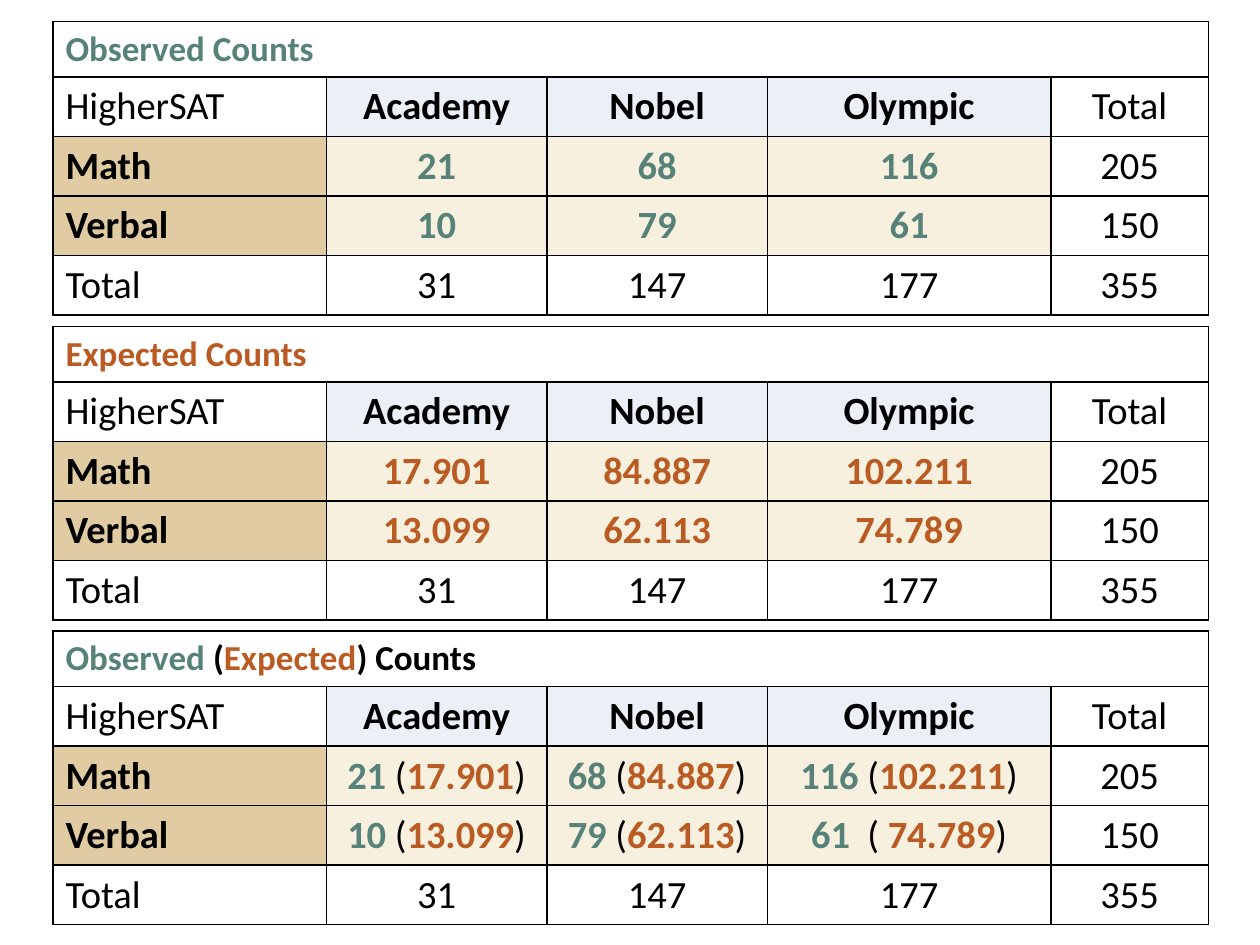
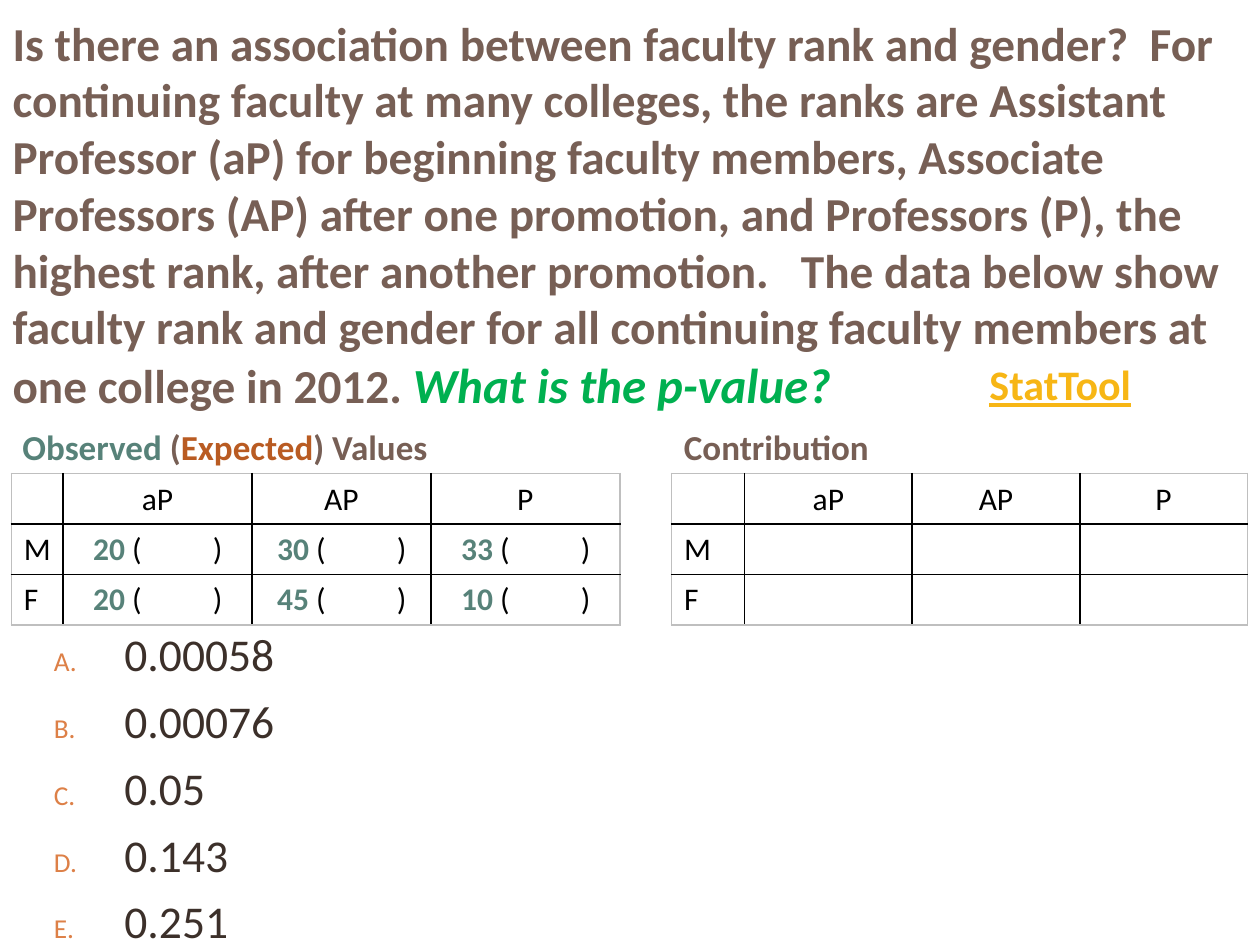
from dataclasses import dataclass

from lxml import etree
from pptx import Presentation
from pptx.dml.color import RGBColor
from pptx.enum.text import MSO_ANCHOR, MSO_AUTO_SIZE, PP_ALIGN
from pptx.oxml.ns import qn
from pptx.util import Inches, Pt


@dataclass(frozen=True)
class Theme:
    font: str = "Calibri"
    black: str = "000000"
    white: str = "FFFFFF"
    observed: str = "578279"
    expected: str = "B95B22"
    heading: str = "775F55"
    question: str = "00B050"
    body: str = "3C302A"
    bullet: str = "DD8047"
    link: str = "F7B615"
    column_fill: str = "EAF0F6"
    row_fill: str = "E0CBA3"
    count_fill: str = "F7F0DE"
    outer_line: str = "BFBFBF"
    title_size: int = 27
    question_size: int = 28
    answer_size: int = 26
    link_size: int = 24
    count_size: int = 22
    caption_size: int = 20
    rank_size: int = 18


THEME = Theme()


@dataclass
class Run:
    text: str
    color: str = THEME.black
    bold: bool = False
    italic: bool = False
    underline: bool = False
    size: int = 0


@dataclass
class Cell:
    runs: list
    fill: str = ""
    align: PP_ALIGN = PP_ALIGN.CENTER
    size: int = 0
    tab: float = 0


class Deck:
    def __init__(self, theme):
        self.theme = theme
        self.prs = Presentation()
        self.prs.slide_width, self.prs.slide_height = Inches(10), Inches(7.5)
        self.slide = None

    def add_slide(self, layout):
        self.slide = self.prs.slides.add_slide(self.prs.slide_layouts.get_by_name(layout))

    def add_runs(self, p, runs, size, align=PP_ALIGN.LEFT):
        p.alignment = align
        for run in runs:
            r = p.add_run()
            r.text = run.text
            font = r.font
            font.name, font.size = self.theme.font, Pt(run.size or size)
            font.bold, font.italic, font.underline = run.bold, run.italic, run.underline
            font.color.rgb = RGBColor.from_string(run.color)

    def title(self, box, runs):
        sp = self.slide.shapes.title
        sp.left, sp.top, sp.width, sp.height = map(Inches, box)
        tf = sp.text_frame
        tf.auto_size, tf.vertical_anchor = MSO_AUTO_SIZE.NONE, MSO_ANCHOR.MIDDLE
        self.add_runs(tf.paragraphs[0], runs, self.theme.title_size)

    def text_box(self, box):
        tf = self.slide.shapes.add_textbox(*map(Inches, box)).text_frame
        tf.word_wrap = True
        return tf

    def label(self, box, runs, size, align=PP_ALIGN.LEFT):
        self.add_runs(self.text_box(box).paragraphs[0], runs, size, align)

    def lettered_list(self, box, items):
        tf = self.text_box(box)
        for i, item in enumerate(items):
            p = tf.paragraphs[0] if i == 0 else tf.add_paragraph()
            if i:
                p.space_before = Pt(7)
            pPr = p._p.get_or_add_pPr()
            pPr.set("marL", str(Inches(0.56)))
            pPr.set("indent", str(-Inches(0.56)))
            color = etree.SubElement(pPr, qn("a:buClr"))
            etree.SubElement(color, qn("a:srgbClr"), val=self.theme.bullet)
            etree.SubElement(pPr, qn("a:buSzPct"), val="60000")
            etree.SubElement(pPr, qn("a:buFont"), typeface=self.theme.font)
            etree.SubElement(pPr, qn("a:buAutoNum"), type="alphaUcPeriod")
            self.add_runs(p, [Run(item, self.theme.body)], self.theme.answer_size)

    def border(self, cell, side, color):
        line = etree.SubElement(cell._tc.get_or_add_tcPr(), qn(f"a:ln{side}"), w=str(Pt(1)))
        fill = etree.SubElement(line, qn("a:solidFill"))
        etree.SubElement(fill, qn("a:srgbClr"), val=color)

    def table(self, left, top, widths, heights, rows, size, outer, merge_first=False):
        """Draw rows of Cell objects; the outer frame has its own line colour."""
        table = self.slide.shapes.add_table(
            len(heights), len(widths), Inches(left), Inches(top),
            Inches(sum(widths)), Inches(sum(heights))).table
        table.first_row = table.horz_banding = False
        for column, width in zip(table.columns, widths):
            column.width = Inches(width)
        for row, height in zip(table.rows, heights):
            row.height = Inches(height)
        last_row, last_col = len(heights) - 1, len(widths) - 1
        for i in range(last_row + 1):
            for j in range(last_col + 1):
                cell = table.cell(i, j)
                edges = {"L": j == 0, "R": j == last_col, "T": i == 0, "B": i == last_row}
                for side, is_outer in edges.items():
                    self.border(cell, side, outer if is_outer else self.theme.black)
                cell.fill.background()
        if merge_first:
            table.cell(0, 0).merge(table.cell(0, last_col))
        for i, row in enumerate(rows):
            for j, content in enumerate(row):
                self.fill_cell(table.cell(i, j), content, size, widths[j])

    def fill_cell(self, cell, content, size, width):
        if content.fill:
            cell.fill.solid()
            cell.fill.fore_color.rgb = RGBColor.from_string(content.fill)
        p = cell.text_frame.paragraphs[0]
        if content.tab:
            cell.margin_left = Inches((width - content.tab - 0.07) / 2)
            tabs = etree.SubElement(p._p.get_or_add_pPr(), qn("a:tabLst"))
            etree.SubElement(tabs, qn("a:tab"), pos=str(Inches(content.tab)), algn="l")
        self.add_runs(p, content.runs, content.size or size, content.align)


AWARDS = ["Academy", "Nobel", "Olympic"]
OBSERVED = {"Math": [21, 68, 116], "Verbal": [10, 79, 61]}
AWARD_TOTALS = [sum(counts) for counts in zip(*OBSERVED.values())]
GRAND_TOTAL = sum(AWARD_TOTALS)

RANKS = ["aP", "AP", "P"]
FACULTY = {"M": [20, 30, 33], "F": [20, 45, 10]}


def observed_run(value):
    return Run(str(value), THEME.observed, bold=True)


def expected_run(value):
    return Run(f"{value:.3f}", THEME.expected, bold=True)


def observed_only(observed, expected):
    return [observed_run(observed)]


def expected_only(observed, expected):
    return [expected_run(expected)]


def observed_and_expected(observed, expected):
    gap = "  ( " if observed == 61 else " ("
    return [observed_run(observed), Run(gap), expected_run(expected), Run(")")]


def caption(tail, color):
    return [Run("Observed ", THEME.observed, True), Run("(", color, True),
            Run("Expected", THEME.expected, True), Run(f") {tail}", color, True)]


def award_rows(heading, count_runs):
    """Rows of one award table; count_runs turns a count pair into runs."""
    def plain(value, align=PP_ALIGN.CENTER):
        return Cell([Run(str(value))], THEME.white, align)

    rows = [
        [Cell(heading, THEME.white, PP_ALIGN.LEFT, THEME.caption_size)],
        [plain("HigherSAT", PP_ALIGN.LEFT),
         *(Cell([Run(award, bold=True)], THEME.column_fill) for award in AWARDS),
         plain("Total")],
    ]
    for name, counts in OBSERVED.items():
        row_total = sum(counts)
        rows.append([
            Cell([Run(name, bold=True)], THEME.row_fill, PP_ALIGN.LEFT),
            *(Cell(count_runs(n, row_total * total / GRAND_TOTAL), THEME.count_fill)
              for n, total in zip(counts, AWARD_TOTALS)),
            plain(row_total)])
    rows.append([plain("Total", PP_ALIGN.LEFT), *map(plain, AWARD_TOTALS + [GRAND_TOTAL])])
    return rows


def rank_rows(with_counts):
    def blank_expected(n):
        return Cell([observed_run(n), Run(" (\t)")], align=PP_ALIGN.LEFT, tab=0.95)

    rows = [[Cell([]), *(Cell([Run(rank)]) for rank in RANKS)]]
    for gender, counts in FACULTY.items():
        cells = [blank_expected(n) for n in counts] if with_counts else []
        rows.append([Cell([Run(gender)], align=PP_ALIGN.LEFT), *cells])
    return rows


def award_slide(deck):
    deck.add_slide("Blank")
    tables = [
        ([Run("Observed Counts", THEME.observed, True)], observed_only),
        ([Run("Expected Counts", THEME.expected, True)], expected_only),
        (caption("Counts", THEME.black), observed_and_expected),
    ]
    for i, (heading, count_runs) in enumerate(tables):
        deck.table(0.42, 0.17 + i * 2.42, [2.17, 1.75, 1.75, 2.25, 1.25],
                   [0.44] + [0.47] * 4, award_rows(heading, count_runs),
                   THEME.count_size, THEME.black, merge_first=True)


def faculty_slide(deck):
    deck.add_slide("Title Only")
    deck.title((0, 0, 10, 3.39), [
        Run("Is there an association between faculty rank and gender?  For continuing "
            "faculty at many colleges, the ranks are Assistant Professor (aP) for beginning "
            "faculty members, Associate Professors (AP) after one promotion, and Professors "
            "(P), the highest rank, after another promotion.   The data below show faculty "
            "rank and gender for all continuing faculty members at one college in 2012. ",
            THEME.heading, bold=True),
        Run("What is the p-value?", THEME.question, bold=True, italic=True,
            size=THEME.question_size)])
    deck.lettered_list((0.33, 4.92, 3.33, 2.53),
                       ["0.00058", "0.00076", "0.05", "0.143", "0.251"])
    deck.label((0.08, 3.33, 3.83, 0.44), caption("Values", THEME.heading), THEME.caption_size)
    deck.label((5.33, 3.33, 2.17, 0.44), [Run("Contribution", THEME.heading, True)],
               THEME.caption_size)
    deck.label((6.83, 2.8, 3.17, 0.5),
               [Run("StatTool", THEME.link, bold=True, underline=True)],
               THEME.link_size, PP_ALIGN.CENTER)
    for left, widths, with_counts in [(0.09, [0.41, 1.5, 1.42, 1.5], True),
                                      (5.33, [0.58] + [1.33] * 3, False)]:
        deck.table(left, 3.76, widths, [0.4] * 3, rank_rows(with_counts),
                   THEME.rank_size, THEME.outer_line)


def main():
    deck = Deck(THEME)
    award_slide(deck)
    faculty_slide(deck)
    deck.prs.save("out.pptx")


if __name__ == "__main__":
    main()
